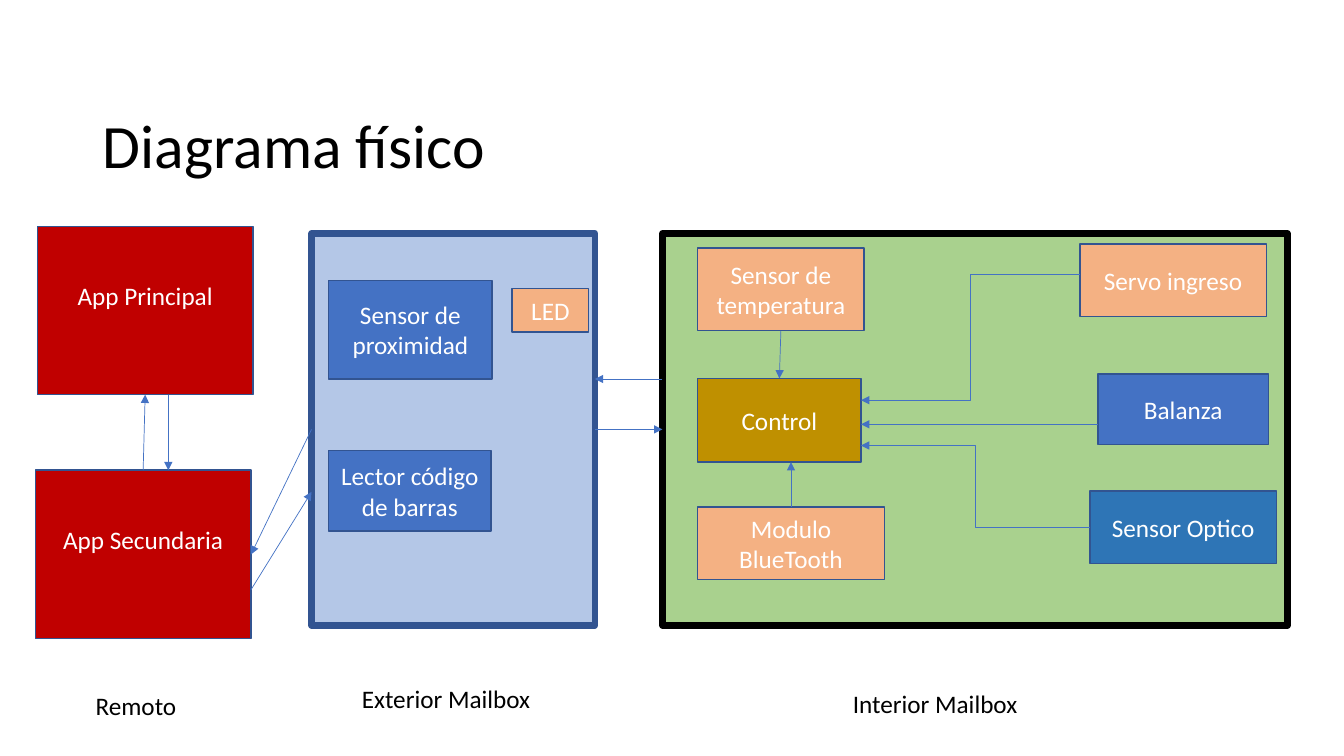
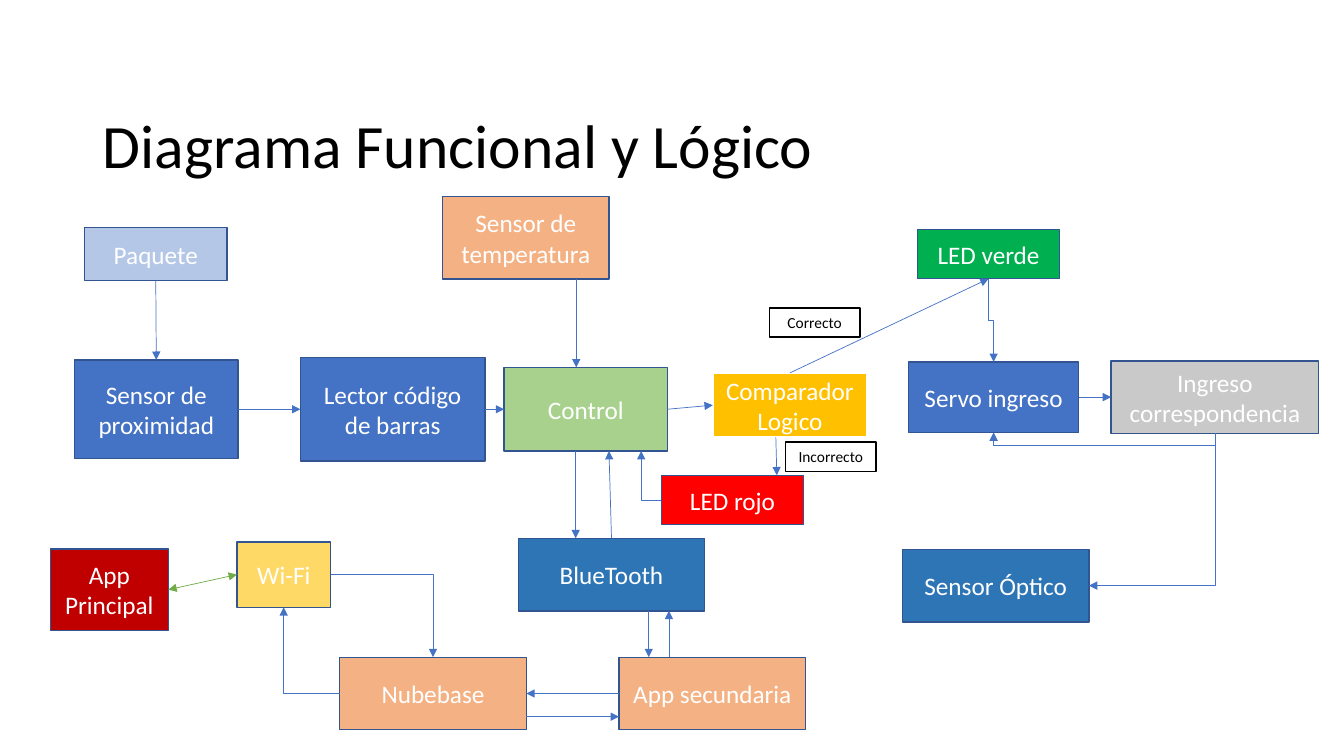
from dataclasses import dataclass
from lxml import etree
from pptx import Presentation
from pptx.dml.color import RGBColor
from pptx.enum import shapes as es, text as et
from pptx.oxml import ns
from pptx.util import Inches, Pt


@dataclass(frozen=True)
class Theme:
    """Colours, font and type sizes for both slides."""
    font: str = "Calibri"
    head: int = 44
    body: int = 18
    note: int = 11
    black: str = "000000"
    white: str = "FFFFFF"
    edge: str = "325491"
    blue: str = "4472C4"
    deep: str = "2E75B6"
    pale: str = "B4C7E7"
    peach: str = "F4B183"
    lime: str = "A9D18E"
    leaf: str = "70AD47"
    green: str = "00B050"
    wine: str = "C00000"
    red: str = "FF0000"
    gold: str = "BF9000"
    amber: str = "FFC000"
    sand: str = "FFD966"
    gray: str = "C9C9C9"


T = Theme()
LEFT, MIDDLE = et.PP_ALIGN.LEFT, et.PP_ALIGN.CENTER
MID = {"word_wrap": True, "vertical_anchor": et.MSO_ANCHOR.MIDDLE}
TOP = {"word_wrap": True, "vertical_anchor": et.MSO_ANCHOR.TOP}
BASE = {"word_wrap": True, "vertical_anchor": et.MSO_ANCHOR.BOTTOM,
        "auto_size": et.MSO_AUTO_SIZE.NONE}
LIFT = {**MID, "margin_bottom": Inches(0.35)}

SIZES = {
    "inner": (6.2, 3.89), "outer": (2.81, 3.89), "app": (2.14, 1.67),
    "sensor": (1.62, 0.98), "reader": (1.61, 0.8), "scan": (1.83, 1.03),
    "core": (1.62, 0.83), "heat": (1.65, 0.82), "chip": (1.85, 0.72),
    "servo": (1.69, 0.7), "lamp": (1.41, 0.49), "dot": (0.76, 0.43),
    "pack": (1.41, 0.53), "net": (0.93, 0.65), "phone": (1.17, 0.81),
    "mail": (2.06, 0.72), "test": (1.53, 0.64), "tag": (0.9, 0.29),
}
LINES = {"inner": (T.black, 4.5), "outer": (T.edge, 4.5),
         "test": (T.white, 1.5), "tag": (T.black, 1)}
LOOKS = {"app": {"frame": LIFT}, "tag": {"size": T.note, "ink": T.black}}


def write(shape, words, size=T.body, ink=T.white, align=MIDDLE, frame=MID):
    """Put styled text into a shape."""
    body = shape.text_frame
    body.text = words
    for key, val in frame.items():
        setattr(body, key, val)
    para = body.paragraphs[0]
    para.alignment = align
    font = para.runs[0].font
    for key, val in {"name": T.font, "size": Pt(size)}.items():
        setattr(font, key, val)
    font.color.rgb = RGBColor.from_string(ink)


def link(slide, ends, sides, shift=(0, 0), level=False, elbow=False, turn=0.5,
         ink=T.blue, both=False):
    """Join two boxes by sides (l r t b); level keeps the start's row or column."""
    spots = []
    for (left, top, wide, high), side, move in zip(ends, sides, shift):
        if side in "lr":
            spots.append([left + wide * (side == "r"), top + high / 2 + move])
        else:
            spots.append([left + wide / 2 + move, top + high * (side == "b")])
    (x1, y1), (x2, y2) = spots
    flat, flat_end = (side in "lr" for side in sides)
    if level and flat:
        y2 = y1
    elif level:
        x2 = x1
    turned = elbow and not flat
    if turned:
        # Lay the elbow on its side; a quarter turn then stands it up.
        cx, cy, dx, dy = (x1 + x2) / 2, (y1 + y2) / 2, (x2 - x1) / 2, (y2 - y1) / 2
        x1, y1, x2, y2 = cx - dy, cy + dx, cx + dy, cy - dx
    kind = es.MSO_CONNECTOR.ELBOW if elbow else es.MSO_CONNECTOR.STRAIGHT
    wire = slide.shapes.add_connector(kind, *map(Inches, (x1, y1, x2, y2)))
    wire.line.color.rgb = RGBColor.from_string(ink)
    wire.line.width = Pt(0.5)
    props = wire.line._get_or_add_ln()
    for tag in ["a:headEnd"] * both + ["a:tailEnd"]:
        etree.SubElement(props, ns.qn(tag), type="triangle")
    form = props.getparent()
    etree.SubElement(form, ns.qn("a:effectLst"))
    if elbow:
        geom = form.find(ns.qn("a:prstGeom"))
        if flat == flat_end:
            etree.SubElement(geom.find(ns.qn("a:avLst")), ns.qn("a:gd"),
                             name="adj1", fmla=f"val {round(turn * 100000)}")
        else:
            geom.set("prst", "bentConnector2")
    if turned:
        form.find(ns.qn("a:xfrm")).set("rot", "5400000")


# Rows: centre height, then boxes as text, left, size, fill.
# Links: from, to, their sides, then format changes.
bend, level = {"elbow": True}, {"level": True}
inside, outside = "Interior Mailbox", "Exterior Mailbox"
main, second, aide = "App Principal", "App Secundaria", "App secundaria"
near, scan, heat = "Sensor de proximidad", "Lector código de barras", "Sensor de temperatura"
core, servo, radio = "Control", "Servo ingreso", "Modulo BlueTooth"
tooth, test, mail = "BlueTooth", "Comparador Logico", "Ingreso correspondencia"
base, good, bad = "Nubebase", "LED verde", "LED rojo"

pages = [
    {
        "title": "Diagrama físico",
        "rows": [
            (4.26, [(inside, 6.57, "inner", T.lime), (outside, 3.09, "outer", T.pale)]),
            (2.78, [(servo, 10.71, "chip", T.peach)]),
            (2.87, [(heat, 6.92, "heat", T.peach)]),
            (3.08, [(main, 0.37, "app", T.wine), ("LED", 5.08, "dot", T.peach)]),
            (3.27, [(near, 3.26, "sensor", T.blue)]),
            (4.06, [("Balanza", 10.89, "servo", T.blue)]),
            (4.17, [(core, 6.92, "core", T.gold)]),
            (4.87, [(scan, 3.26, "reader", T.blue)]),
            (5.23, [("Sensor Optico", 10.81, "chip", T.deep)]),
            (5.39, [(radio, 6.92, "chip", T.peach)]),
            (5.5, [(second, 0.35, "app", T.wine)]),
        ],
        "labels": [("Remoto", 0.85, 6.8), (outside, 3.49, 6.73), (inside, 8.36, 6.78)],
        "links": [
            (radio, core, "tb", level),
            (heat, core, "bt", {}),
            (servo, core, "lr", {**bend, "shift": (-0.06, -0.2)}),
            ("Balanza", core, "lr", {**level, "shift": (0.15, 0)}),
            ("Sensor Optico", core, "lr", {**bend, "shift": (0, 0.25)}),
            (outside, inside, "rl", {}),
            (inside, outside, "lr", {**level, "shift": (-0.5, 0)}),
            (outside, second, "lr", {}),
            (second, main, "tb", {}),
            (second, outside, "rl", {"shift": (0.35, 0.62)}),
            (main, second, "bt", {**level, "shift": (0.23, 0)}),
        ],
    },
    {
        "title": "Diagrama Funcional y Lógico",
        "rows": [
            (2.36, [(heat, 4.39, "heat", T.peach)]),
            (2.52, [("Paquete", 0.84, "pack", T.pale), (good, 9.1, "lamp", T.green)]),
            (3.2, [("Correcto", 7.63, "tag", T.white)]),
            (3.94, [(servo, 9.01, "servo", T.blue), (mail, 11.02, "mail", T.gray)]),
            (4.02, [(test, 7.07, "test", T.amber)]),
            (4.06, [(near, 0.74, "sensor", T.blue), (scan, 2.98, "scan", T.blue),
                    (core, 5, "core", T.lime)]),
            (4.53, [("Incorrecto", 7.79, "tag", T.white)]),
            (4.96, [(bad, 6.56, "lamp", T.red)]),
            (5.7, [("Wi-Fi", 2.35, "net", T.sand), (tooth, 5.14, "chip", T.deep)]),
            (5.81, [("Sensor Óptico", 8.95, "chip", T.deep)]),
            (5.85, [(main, 0.5, "phone", T.wine)]),
            (6.88, [(base, 3.37, "chip", T.peach), (aide, 6.14, "chip", T.peach)]),
        ],
        "labels": [],
        "links": [
            (near, scan, "rl", {}),
            (scan, core, "rl", {}),
            (main, "Wi-Fi", "rl", {"ink": T.leaf, "both": True}),
            (test, bad, "bt", {"shift": (-0.14, 0.44)}),
            ("Paquete", near, "bt", {}),
            (servo, mail, "rl", {}),
            (mail, servo, "bb", {**bend, "turn": -12.5}),
            (test, good, "tb", {}),
            (bad, core, "lb", {**bend, "shift": (0, 0.55)}),
            (core, test, "rl", {}),
            (heat, core, "bt", {**level, "shift": (0.5, 0)}),
            ("Wi-Fi", base, "rt", bend),
            (good, servo, "bt", bend),
            (mail, "Sensor Óptico", "br", bend),
            (tooth, core, "tb", {"shift": (0, 0.23)}),
            (aide, tooth, "tb", {**level, "shift": (-0.43, 0)}),
            (aide, base, "lr", {}),
            (core, tooth, "bt", {**level, "shift": (-0.1, 0)}),
            (tooth, aide, "bt", {**level, "shift": (0.37, 0)}),
            (base, aide, "rl", {**level, "shift": (0.23, 0)}),
            (base, "Wi-Fi", "lb", bend),
        ],
    },
]

deck = Presentation()
deck.slide_width, deck.slide_height = Inches(13.33), Inches(7.5)
for page in pages:
    slide = deck.slides.add_slide(deck.slide_layouts[5])
    title = slide.shapes.title
    place = {"left": 0.92, "top": 0.4, "width": 11.5, "height": 1.45}
    for key, val in place.items():
        setattr(title, key, Inches(val))
    write(title, page["title"], T.head, T.black, LEFT, BASE)
    title.text_frame.paragraphs[0].line_spacing = 0.9

    areas = {}
    for mid, row in page["rows"]:
        for words, left, size, fill in row:
            wide, high = SIZES[size]
            areas[words] = left, mid - high / 2, wide, high
            box = slide.shapes.add_shape(es.MSO_SHAPE.RECTANGLE,
                                         *map(Inches, areas[words]))
            box.shadow.inherit = False
            box.fill.solid()
            box.fill.fore_color.rgb = RGBColor.from_string(fill)
            edge, weight = LINES.get(size, (T.edge, 1))
            box.line.color.rgb = RGBColor.from_string(edge)
            box.line.width = Pt(weight)
            if size not in ("inner", "outer"):
                write(box, words, **LOOKS.get(size, {}))

    for words, left, top in page["labels"]:
        label = slide.shapes.add_textbox(*map(Inches, (left, top, 1.91, 0.4)))
        write(label, words, ink=T.black, align=LEFT, frame=TOP)

    for start, end, sides, look in page["links"]:
        link(slide, (areas[start], areas[end]), sides, **look)

deck.save("out.pptx")
